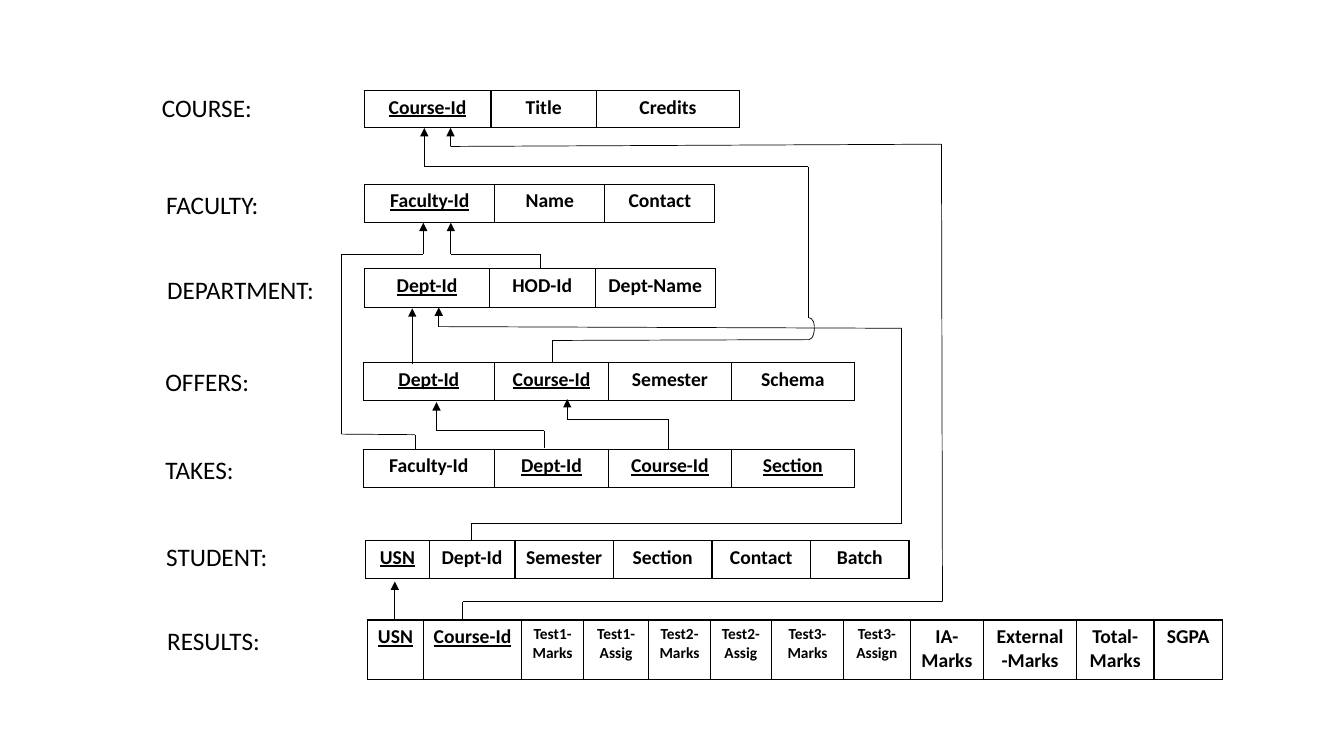
from dataclasses import dataclass
from itertools import pairwise

from lxml.etree import SubElement
from pptx import Presentation
from pptx.dml.color import RGBColor
from pptx.enum.shapes import MSO_CONNECTOR, MSO_SHAPE
from pptx.enum.text import PP_ALIGN
from pptx.oxml.ns import qn
from pptx.util import Pt


@dataclass(frozen=True)
class Theme:
    """Colours, font, type sizes and line widths, in points."""
    ink: RGBColor = RGBColor(0, 0, 0)
    font: str = "Calibri"
    label_size: int = 18
    field_size: int = 14
    small_size: int = 11
    border: float = 1
    link: float = 0.5


@dataclass(frozen=True)
class Relation:
    """A schema row: label place, table place, and its fields with widths."""
    name: str
    label: tuple    # left, top, width
    table: tuple    # left, top, height
    fields: dict    # field name: column width
    keys: tuple     # underlined fields


THEME = Theme()

RELATIONS = [
    Relation("COURSE", (108.5, 62.6, 142.6), (260.2, 64.7, 26.6),
             {"Course-Id": 90.5, "Title": 75.5, "Credits": 102}, ("Course-Id",)),
    Relation("FACULTY", (111.6, 131.8, 116), (260.6, 131.6, 27.4),
             {"Faculty-Id": 92.9, "Name": 78.6, "Contact": 78.6}, ("Faculty-Id",)),
    Relation("DEPARTMENT", (112.3, 192.2, 126), (260.6, 192, 27.4),
             {"Dept-Id": 89, "HOD-Id": 75.6, "Dept-Name": 85.7}, ("Dept-Id",)),
    Relation("OFFERS", (111, 258.3, 170.6), (259.4, 259, 27.2),
             {"Dept-Id": 93.9, "Course-Id": 81.4, "Semester": 87.8, "Schema": 87.8},
             ("Dept-Id", "Course-Id")),
    Relation("TAKES", (111, 321.1, 170.6), (259.4, 320.8, 27.4),
             {"Faculty-Id": 93.9, "Dept-Id": 81.4, "Course-Id": 87.8, "Section": 87.8},
             ("Dept-Id", "Course-Id", "Section")),
    Relation("STUDENT", (111.6, 383, 142.6), (261.2, 386, 27.4),
             {"USN": 45.4, "Dept-Id": 61.2, "Semester": 70.4, "Section": 70.4,
              "Contact": 70.4, "Batch": 70.4}, ("USN",)),
    Relation("RESULTS", (112.3, 443.2, 142.6), (262.6, 442.8, 42.5),
             {"USN": 39.8, "Course-Id": 70.4, "Test1-\nMarks": 43.9,
              "Test1-\nAssig": 46.8, "Test2-\nMarks": 43.9, "Test2-\nAssig": 43.7,
              "Test3-\nMarks": 51.6, "Test3-\nAssign": 47.5, "IA-Marks": 52.6,
              "External-Marks": 66.2, "Total-\nMarks": 55.4, "SGPA": 49},
             ("USN", "Course-Id")),
]

# Each foreign key runs from its field to the key it refers to.
REFERENCES = {
    "RESULTS.USN": [(282, 442), (282, 415.4)],
    "RESULTS.Course-Id": [(330.5, 442), (330.5, 429.8), (673.2, 429.8),
                          (672.5, 103), (321.8, 104.6), (321.8, 91.4)],
    "STUDENT.Dept-Id": [(337, 386), (337, 373.7), (644.2, 373.7),
                        (644.2, 234.5), (313.4, 233.3), (313.4, 219.6)],
    "TAKES.Dept-Id": [(388.8, 319.7), (388.8, 307.6), (311.8, 307.6), (311.8, 287.3)],
    "TAKES.Course-Id": [(477.4, 321.1), (477.4, 299.5), (405.2, 299.5), (405.2, 285.1)],
    "TAKES.Faculty-Id": [(296.6, 321.1), (296.6, 310.5), (244, 310.1),
                         (244, 181.4), (302.4, 181.4), (302.4, 159.1)],
    "OFFERS.Dept-Id": [(294.5, 259.9), (294.5, 220.3)],
    "DEPARTMENT.HOD-Id": [(385.9, 192.2), (385.9, 181.4), (322, 181.4), (322, 159.1)],
    "OFFERS.Course-Id": [(577.4, 226.8), (577.4, 119), (303.1, 119), (303.1, 91.4)],
}
# OFFERS.Course-Id reaches its bridge over the STUDENT.Dept-Id line here.
BRIDGE_APPROACH = [(394.6, 258.5), (394.6, 243.2), (578, 242.6)]


def add_run(paragraph, text, size, bold=False, underline=False):
    """Add one run in the theme font and ink."""
    run = paragraph.add_run()
    run.text = text
    run.font.name = THEME.font
    run.font.size = Pt(size)
    run.font.bold = bold
    run.font.underline = underline
    run.font.color.rgb = THEME.ink


def add_label(slide, name, left, top, width):
    """Write a relation's name beside its table."""
    box = slide.shapes.add_textbox(Pt(left), Pt(top), Pt(width), Pt(28.8))
    box.text_frame.word_wrap = True
    add_run(box.text_frame.paragraphs[0], f"{name}:", THEME.label_size)


def add_borders(cell):
    """Draw a solid line on all four sides of a cell."""
    properties = cell._tc.get_or_add_tcPr()
    for side in ("a:lnL", "a:lnR", "a:lnT", "a:lnB"):
        line = SubElement(properties, qn(side), w=str(Pt(THEME.border)))
        fill = SubElement(line, qn("a:solidFill"))
        SubElement(fill, qn("a:srgbClr"), val=str(THEME.ink))


def fill_field(cell, field, is_key):
    """Border a cell and write its field name, one paragraph a line."""
    add_borders(cell)
    cell.fill.background()
    size = THEME.small_size if field.startswith("Test") else THEME.field_size
    for index, text in enumerate(field.split("\n")):
        frame = cell.text_frame
        paragraph = frame.add_paragraph() if index else frame.paragraphs[0]
        paragraph.alignment = PP_ALIGN.CENTER
        add_run(paragraph, text, size, bold=True, underline=is_key)


def add_relation(slide, relation):
    """Add a relation's label and its one-row table of fields."""
    add_label(slide, relation.name, *relation.label)
    left, top, height = relation.table
    widths = relation.fields.values()
    table = slide.shapes.add_table(1, len(widths), Pt(left), Pt(top),
                                   Pt(sum(widths)), Pt(height)).table
    table.first_row = table.horz_banding = False
    for index, (field, width) in enumerate(relation.fields.items()):
        table.columns[index].width = Pt(width)
        fill_field(table.cell(0, index), field, field in relation.keys)


def style_line(shape):
    """Give a link the theme's ink and width."""
    shape.line.color.rgb = THEME.ink
    shape.line.width = Pt(THEME.link)


def add_link(slide, points, arrow=True):
    """Join points with straight connectors, the last one with an arrowhead."""
    for start, end in pairwise(points):
        connector = slide.shapes.add_connector(
            MSO_CONNECTOR.STRAIGHT, *map(Pt, start + end))
        style_line(connector)
        SubElement(connector._element.spPr, qn("a:effectLst"))
    if arrow:
        SubElement(connector.line._get_or_add_ln(), qn("a:tailEnd"), type="triangle")


def add_bridge_arc(slide, left, top, width, height, flipped=False):
    """Add one half of the bridge where two links cross."""
    arc = slide.shapes.add_shape(MSO_SHAPE.ARC, Pt(left), Pt(top), Pt(width), Pt(height))
    arc.shadow.inherit = False
    arc.fill.background()
    arc.adjustments[0], arc.adjustments[1] = 162, 4.03
    style_line(arc)
    if flipped:
        arc._element.spPr.get_or_add_xfrm().set("flipV", "1")


def main():
    """Build the relational schema slide."""
    presentation = Presentation()
    presentation.slide_width, presentation.slide_height = Pt(960), Pt(540)
    slide = presentation.slides.add_slide(presentation.slide_layouts[6])
    for relation in RELATIONS:
        add_relation(slide, relation)
    for points in REFERENCES.values():
        add_link(slide, points)
    add_link(slide, BRIDGE_APPROACH, arrow=False)
    add_bridge_arc(slide, 573.1, 226.8, 8.6, 12.2)
    add_bridge_arc(slide, 573.8, 226.1, 7.9, 16.6, flipped=True)
    presentation.save("out.pptx")


main()
